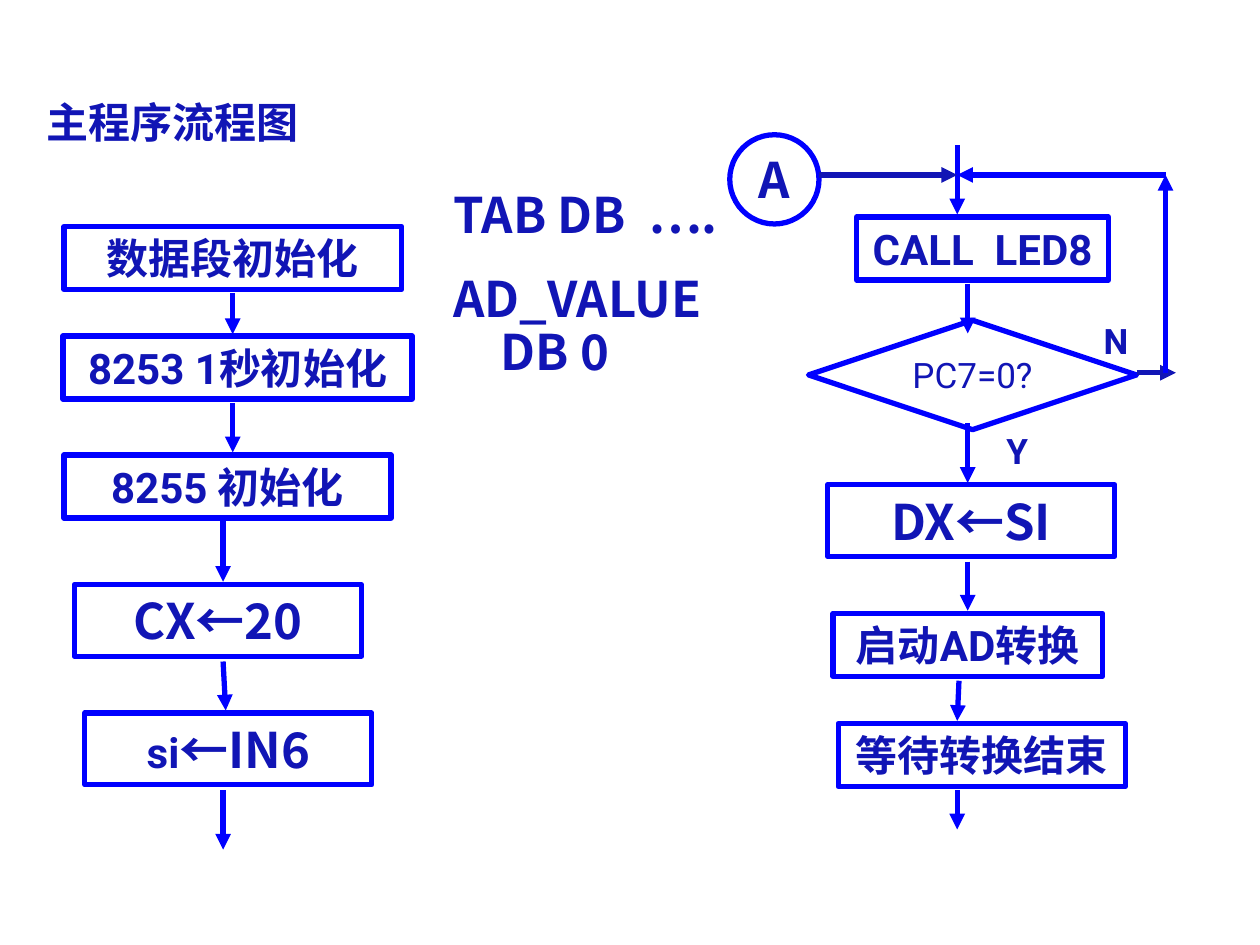
from pptx import Presentation
from pptx.dml.color import RGBColor
from pptx.enum.shapes import MSO_CONNECTOR as CONNECTOR, MSO_SHAPE as SHAPE
from pptx.enum.text import MSO_ANCHOR as ANCHOR, MSO_AUTO_SIZE as AUTO_SIZE, PP_ALIGN as ALIGN
from pptx.oxml.ns import qn
from pptx.util import Pt
from lxml.etree import SubElement

BLUE = RGBColor(0x00, 0x00, 0xFF)
NAVY = RGBColor(0x11, 0x15, 0xB5)
ROBOTO = "Roboto"
NOTO = "Noto Sans CJK SC"
TITLE_STYLE = {"size": Pt(24), "name": NOTO, "bold": True}
LARGE = {"size": Pt(28), "name": NOTO, "bold": True}
MEDIUM = {"size": Pt(24), "name": ROBOTO, "bold": True}
LABEL = {"size": Pt(20), "name": ROBOTO, "bold": True}
QUESTION = {"size": Pt(20), "name": ROBOTO, "bold": False}


def add_run(paragraph, text, style):
    """Append a navy run with the given font values."""
    run = paragraph.add_run()
    run.text = text
    for name, value in style.items():
        setattr(run.font, name, value)
    run.font.color.rgb = NAVY
    SubElement(run.font._element, qn("a:ea"), typeface=NOTO)


def format_frame(frame, anchor, wrap):
    """Set the anchor and wrapping of a text frame."""
    values = {"vertical_anchor": anchor, "word_wrap": wrap, "auto_size": AUTO_SIZE.NONE}
    for name, value in values.items():
        setattr(frame, name, value)


def add_node(slide, origin, box, runs, kind=SHAPE.RECTANGLE):
    """Add an outlined flowchart node with centred text."""
    left, top, width, height = box
    node = slide.shapes.add_shape(
        kind, Pt(origin[0] + left), Pt(origin[1] + top), Pt(width), Pt(height))
    node.shadow.inherit = False
    node.fill.background()
    node.line.color.rgb = BLUE
    node.line.width = Pt(3)
    format_frame(node.text_frame, ANCHOR.MIDDLE, False)
    paragraph = node.text_frame.paragraphs[0]
    paragraph.alignment = ALIGN.CENTER
    for text, style in runs:
        add_run(paragraph, text, style)


def add_arrow(slide, origin, points, color=BLUE):
    """Add a straight arrow from the first point to the second."""
    x, y = origin
    x1, y1, x2, y2 = points
    arrow = slide.shapes.add_connector(
        CONNECTOR.STRAIGHT, Pt(x + x1), Pt(y + y1), Pt(x + x2), Pt(y + y2))
    arrow.line.color.rgb = color
    arrow.line.width = Pt(3)
    SubElement(arrow.line._get_or_add_ln(), qn("a:tailEnd"), type="triangle")
    SubElement(arrow._element.spPr, qn("a:effectLst"))


def add_text_box(slide, box):
    """Add a wrapping text box and return its text frame."""
    frame = slide.shapes.add_textbox(*map(Pt, box)).text_frame
    format_frame(frame, ANCHOR.TOP, True)
    return frame


def place_title(slide, box):
    """Move and format the title placeholder."""
    title = slide.shapes.title
    title.left, title.top, title.width, title.height = map(Pt, box)
    format_frame(title.text_frame, ANCHOR.TOP, True)
    paragraph = title.text_frame.paragraphs[0]
    paragraph.alignment = ALIGN.LEFT
    paragraph.line_spacing = 0.9
    add_run(paragraph, "主程序流程图", TITLE_STYLE)


def build_setup_column(slide, origin):
    """Draw the initialisation steps and the arrows between them."""
    nodes = [
        ((0.5, 0, 193, 36), [("数据段初始化", MEDIUM)]),
        ((0, 62.5, 199.5, 36), [("8253 1秒初始化", MEDIUM)]),
        ((0.5, 130.5, 187, 36), [("8255 初始化", MEDIUM)]),
        ((6.5, 204.5, 164, 41), [("CX←20", LARGE)]),
        ((12.5, 278, 164, 41), [("si", MEDIUM), ("←IN6", LARGE)]),
    ]
    arrows = [
        (97, 38, 97, 61.5),
        (97, 101, 97, 129),
        (91.5, 168.5, 91.5, 203),
        (91.5, 248.5, 93, 276.5),
        (91.5, 322, 91.5, 356),
    ]
    for box, runs in nodes:
        add_node(slide, origin, box, runs)
    for points in arrows:
        add_arrow(slide, origin, points)


def build_data_definitions(slide, box):
    """Write the data definitions with a hanging indent."""
    frame = add_text_box(slide, box)
    for index, text in enumerate(["TAB DB  ….", "AD_VALUE DB 0"]):
        paragraph = frame.add_paragraph() if index else frame.paragraphs[0]
        properties = paragraph._p.get_or_add_pPr()
        properties.set("marL", str(Pt(27)))
        properties.set("indent", str(Pt(-27)))
        paragraph.line_spacing = 0.9
        paragraph.space_before = Pt(17.5 if index else 0)
        add_run(paragraph, text, LARGE)


def build_conversion_loop(slide, origin):
    """Draw the display loop, its test and the conversion steps."""
    nodes = [
        ((0, 0, 51, 51), "A", LARGE, SHAPE.OVAL),
        ((72.5, 47, 144, 36), "CALL  LED8", MEDIUM, SHAPE.RECTANGLE),
        ((45, 106, 187.5, 62.5), "PC7=0?", QUESTION, SHAPE.DIAMOND),
        ((56, 200, 164, 41), "DX←SI", LARGE, SHAPE.RECTANGLE),
        ((59, 273.5, 154, 36), "启动AD转换", MEDIUM, SHAPE.RECTANGLE),
        ((62, 336.5, 164, 36), "等待转换结束", MEDIUM, SHAPE.RECTANGLE),
    ]
    arrows = [
        ((130, 6, 130, 45.5), BLUE),
        ((136, 85, 136, 113.5), BLUE),
        ((136, 165, 136, 199), BLUE),
        ((136, 244, 136, 272), BLUE),
        ((131, 312, 130, 335), BLUE),
        ((130, 374.5, 130, 397), BLUE),
        ((232.5, 136, 255, 136), NAVY),
        ((249, 136, 249, 23), BLUE),
        ((249, 23, 130, 23), BLUE),
        ((51, 23, 130, 23), NAVY),
    ]
    for box, text, style, kind in nodes:
        add_node(slide, origin, box, [(text, style)], kind)
    for points, color in arrows:
        add_arrow(slide, origin, points, color)
    for text, left, top in [("Y", 141.5, 165), ("N", 198, 102)]:
        frame = add_text_box(slide, (origin[0] + left, origin[1] + top, 45.5, 31.5))
        frame.paragraphs[0].alignment = ALIGN.CENTER
        add_run(frame.paragraphs[0], text, LABEL)


def main():
    """Build the flowchart slide and save it."""
    presentation = Presentation()
    presentation.slide_width, presentation.slide_height = Pt(720), Pt(540)
    slide = presentation.slides.add_slide(presentation.slide_layouts[5])
    place_title(slide, (19.5, 54.5, 178.5, 34))
    build_setup_column(slide, (36, 129.5))
    build_data_definitions(slide, (252, 106, 198.5, 116))
    build_conversion_loop(slide, (417, 77))
    presentation.save("out.pptx")


if __name__ == "__main__":
    main()
